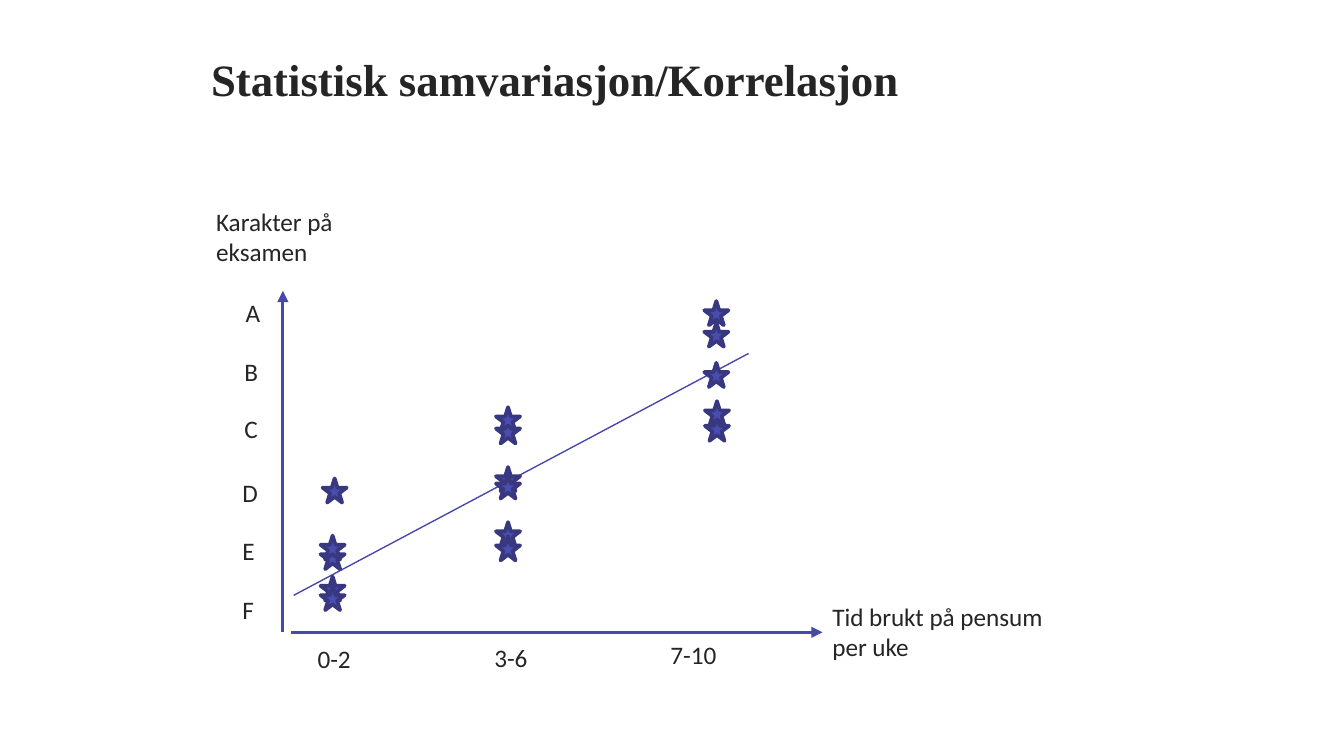
"""Build a scatter slide on study time and exam grades."""
import dataclasses

import lxml.etree
import pptx
import pptx.dml.color
import pptx.enum.shapes
import pptx.enum.text
import pptx.oxml.ns
import pptx.util

EMU_PER_PX = 4572


@dataclasses.dataclass(frozen=True)
class Theme:
    ink: str = "252525"
    line: str = "4748AC"
    star_fill: str = "4B4CAD"
    star_edge: str = "373880"
    title_font: str = "Times New Roman"
    body_font: str = "Calibri"
    title_size: float = 24
    body_size: float = 13.5
    axis_width: float = 1.5
    trend_width: float = 0.75
    star_width: float = 2


def px(*lengths):
    return [pptx.util.Emu(length * EMU_PER_PX) for length in lengths]


def rgb(value):
    return pptx.dml.color.RGBColor.from_string(value)


def write_text(frame, text, *, font, size, color, bold=False):
    frame.text = text
    for paragraph in frame.paragraphs:
        paragraph.alignment = pptx.enum.text.PP_ALIGN.LEFT
        for run in paragraph.runs:
            run.font.name = font
            run.font.size = pptx.util.Pt(size)
            run.font.bold = bold
            run.font.color.rgb = rgb(color)


class SlideBuilder:
    def __init__(self, slide, theme):
        self.slide = slide
        self.theme = theme

    def title(self, text, left, top, width, height):
        shape = self.slide.shapes.title
        shape.left, shape.top, shape.width, shape.height = px(left, top, width, height)
        frame = shape.text_frame
        frame.margin_left = frame.margin_right = frame.margin_top = frame.margin_bottom = 0
        frame.vertical_anchor = pptx.enum.text.MSO_ANCHOR.MIDDLE
        frame.auto_size = pptx.enum.text.MSO_AUTO_SIZE.NONE
        write_text(frame, text, font=self.theme.title_font, size=self.theme.title_size,
                   color=self.theme.ink, bold=True)

    def label(self, text, left, top, width, height, stacked=False):
        shape = self.slide.shapes.add_textbox(*px(left, top, width, height))
        frame = shape.text_frame
        frame.word_wrap = False
        frame.auto_size = pptx.enum.text.MSO_AUTO_SIZE.SHAPE_TO_FIT_TEXT
        if stacked:
            shape.element.txBody.bodyPr.set("vert", "wordArtVert")
        write_text(frame, text, font=self.theme.body_font, size=self.theme.body_size,
                   color=self.theme.ink)

    def line(self, start_x, start_y, end_x, end_y, width, arrow=False):
        connector = self.slide.shapes.add_connector(
            pptx.enum.shapes.MSO_CONNECTOR.STRAIGHT, *px(start_x, start_y, end_x, end_y))
        connector.line.color.rgb = rgb(self.theme.line)
        connector.line.width = pptx.util.Pt(width)
        qualified = pptx.oxml.ns.qn
        if arrow:
            lxml.etree.SubElement(connector.line._get_or_add_ln(), qualified("a:tailEnd"),
                                  type="triangle")
        lxml.etree.SubElement(connector.element.spPr, qualified("a:effectLst"))

    def star(self, left, top, size=36):
        shape = self.slide.shapes.add_shape(
            pptx.enum.shapes.MSO_SHAPE.STAR_5_POINT, *px(left, top, size, size))
        shape.shadow.inherit = False
        shape.fill.solid()
        shape.fill.fore_color.rgb = rgb(self.theme.star_fill)
        shape.line.color.rgb = rgb(self.theme.star_edge)
        shape.line.width = pptx.util.Pt(self.theme.star_width)


def main():
    presentation = pptx.Presentation()
    presentation.slide_width, presentation.slide_height = px(2000, 1125)
    theme = Theme()
    builder = SlideBuilder(presentation.slides.add_slide(presentation.slide_layouts[5]), theme)

    builder.title("Statistisk samvariasjon/Korrelasjon", 314, 47, 1238, 140)
    builder.line(421, 941, 421, 433, theme.axis_width, arrow=True)
    builder.line(433, 941, 1224, 941, theme.axis_width, arrow=True)
    builder.label("Tid brukt på pensum\nper uke", 1219, 885, 358, 112)
    builder.label("Karakter på\neksamen", 302, 297, 224, 112)

    for text, left, top, width in (("0-2", 453, 948, 90), ("3-6", 716, 946, 90),
                                   ("7-10", 978, 942, 110)):
        builder.label(text, left, top, width, 66)
    for grade, left, top in (("A", 346, 433), ("B", 344, 520), ("C", 344, 606),
                             ("D", 341, 700), ("E", 341, 787), ("F", 341, 875)):
        builder.label(grade, left, top, 94, 74, stacked=True)

    builder.line(437, 886, 1114, 526, theme.trend_width)
    stars_by_column = {
        477: (858, 811, 872, 797),
        480: (712,),
        738: (777, 798, 624, 606, 695, 706),
        1048: (540, 448, 480),
        1049: (620, 597),
    }
    for left, tops in stars_by_column.items():
        for top in tops:
            builder.star(left, top)

    presentation.save("out.pptx")


if __name__ == "__main__":
    main()
